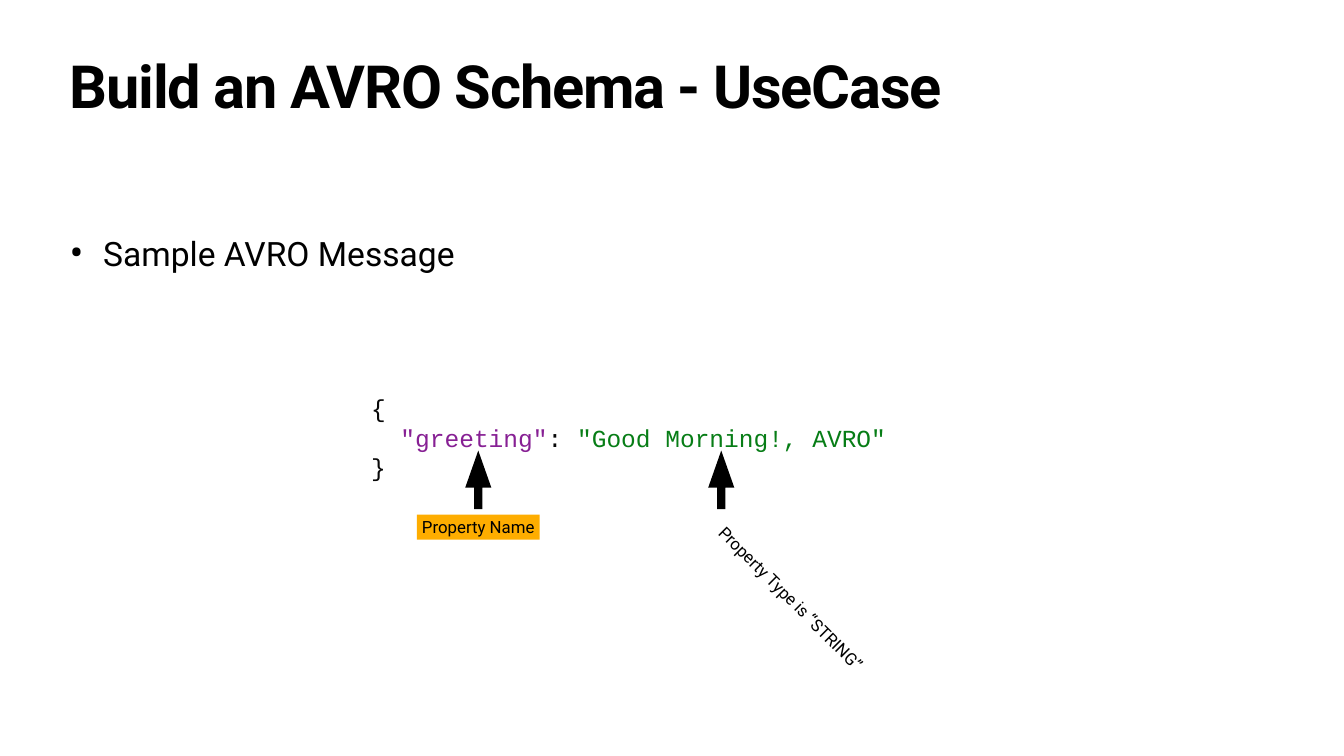
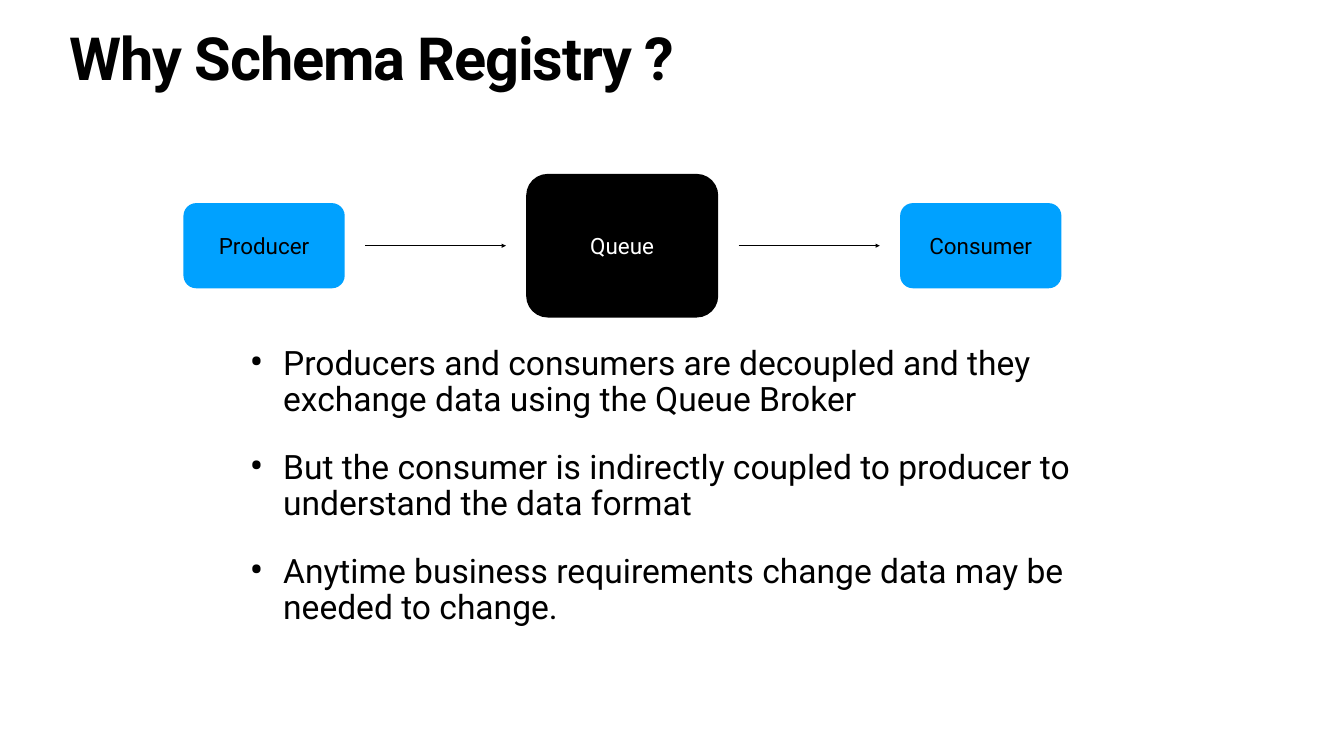
from dataclasses import dataclass

from lxml import etree
from pptx import Presentation
from pptx.dml.color import RGBColor
from pptx.enum.shapes import MSO_CONNECTOR, MSO_SHAPE
from pptx.enum.text import MSO_ANCHOR, PP_ALIGN
from pptx.oxml.ns import qn
from pptx.util import Pt

LEFT, CENTER = PP_ALIGN.LEFT, PP_ALIGN.CENTER
TOP, MIDDLE = MSO_ANCHOR.TOP, MSO_ANCHOR.MIDDLE
RECTANGLE, ROUNDED = MSO_SHAPE.RECTANGLE, MSO_SHAPE.ROUNDED_RECTANGLE
RIGHT_ARROW, STRAIGHT = MSO_SHAPE.RIGHT_ARROW, MSO_CONNECTOR.STRAIGHT


@dataclass(frozen=True)
class Theme:
    font: str = "Roboto"
    code_font: str = "Courier New"
    black: RGBColor = RGBColor(0, 0, 0)
    white: RGBColor = RGBColor(255, 255, 255)
    blue: RGBColor = RGBColor(0x00, 0xA1, 0xFF)
    amber: RGBColor = RGBColor(0xFE, 0xAD, 0x00)
    code: RGBColor = RGBColor(0x08, 0x08, 0x08)
    code_key: RGBColor = RGBColor(0x87, 0x20, 0x94)
    code_string: RGBColor = RGBColor(0x07, 0x7D, 0x16)
    title_size: float = 85
    bullet_size: float = 48
    code_size: float = 35
    box_size: float = 32
    label_size: float = 24
    inset: float = 4.5


THEME = Theme()


def write_text(shape, lines, size, color=THEME.black, font=THEME.font,
               align=CENTER, anchor=MIDDLE, wrap=True):
    """Fill a shape with paragraphs, each a list of (text, colour) runs or a string."""
    frame = shape.text_frame
    frame.word_wrap = wrap
    frame.vertical_anchor = anchor
    frame.margin_left = frame.margin_right = Pt(THEME.inset)
    frame.margin_top = frame.margin_bottom = Pt(THEME.inset)
    for index, line in enumerate(lines):
        paragraph = frame.paragraphs[0] if index == 0 else frame.add_paragraph()
        paragraph.alignment = align
        paragraph.font.name = font
        paragraph.font.size = Pt(size)
        paragraph.font.color.rgb = color
        for text, run_color in [(line, None)] if isinstance(line, str) else line:
            run = paragraph.add_run()
            run.text = text
            if run_color is not None:
                run.font.color.rgb = run_color
    return frame.paragraphs


def add_filled_shape(slide, kind, left, top, width, height, fill):
    shape = slide.shapes.add_shape(kind, Pt(left), Pt(top), Pt(width), Pt(height))
    shape.shadow.inherit = False
    shape.fill.solid()
    shape.fill.fore_color.rgb = fill
    shape.line.fill.background()
    return shape


presentation = Presentation()
presentation.slide_width = Pt(1920)
presentation.slide_height = Pt(1080)

# Titles and bullet lists of both slides
slide_contents = [
    ("Build an AVRO Schema - UseCase", 85, (95, 335, 1730, 650),
     ["Sample AVRO Message"]),
    ("Why Schema Registry ?", 45.5, (352, 490.3, 1328.4, 489),
     ["Producers and consumers are decoupled and they exchange data using the Queue Broker",
      "But the consumer is indirectly coupled to producer to understand the data format",
      "Anytime business requirements change data may be needed to change."]),
]
slides = []
for title_text, title_top, bullet_area, bullets in slide_contents:
    slide = presentation.slides.add_slide(presentation.slide_layouts[5])
    slides.append(slide)

    title = slide.shapes.title
    title.left, title.top, title.width, title.height = Pt(95), Pt(title_top), Pt(1730), Pt(113)
    paragraph = write_text(title, [title_text], THEME.title_size, align=LEFT, anchor=TOP)[0]
    paragraph.font.bold = True
    paragraph.line_spacing = 0.8
    paragraph.runs[0]._r.get_or_add_rPr().set("spc", "-170")

    bullet_box = slide.shapes.add_textbox(*[Pt(length) for length in bullet_area])
    for paragraph in write_text(bullet_box, bullets, THEME.bullet_size, align=LEFT, anchor=TOP):
        paragraph.line_spacing = 0.9
        paragraph.space_before = Pt(45)
        properties = paragraph._p.get_or_add_pPr()
        properties.set("marL", str(Pt(48)))
        properties.set("indent", str(-Pt(48)))
        default_font = properties.find(qn("a:defRPr"))
        for tag, name, value in (("a:buSzPct", "val", "123000"),
                                 ("a:buFont", "typeface", THEME.font),
                                 ("a:buChar", "char", "•")):
            default_font.addprevious(etree.Element(qn(tag), {name: value}))

schema_slide, registry_slide = slides

# Sample message, wide enough to keep the indented line whole
code_box = schema_slide.shapes.add_textbox(Pt(525.6), Pt(537.8), Pt(860), Pt(174.2))
code_lines = [
    "{",
    [('"greeting"', THEME.code_key), (": ", None),
     ('"Good Morning!, AVRO"', THEME.code_string)],
    "}",
]
code_paragraphs = write_text(code_box, code_lines, THEME.code_size, THEME.code,
                             THEME.code_font, align=LEFT)
code_paragraphs[1]._p.get_or_add_pPr().set("marL", str(Pt(42)))

# Pointers below the message
for arrow_left in (641.5, 988.6):
    arrow = add_filled_shape(schema_slide, RIGHT_ARROW, arrow_left, 666.7, 83.5, 37.4,
                             THEME.black)
    arrow.rotation = 270
    arrow.adjustments[0], arrow.adjustments[1] = 0.32, 1.42

name_label = add_filled_shape(schema_slide, RECTANGLE, 595.4, 735.1, 175.7, 36, THEME.amber)
write_text(name_label, ["Property Name"], THEME.label_size, wrap=False)

type_label = schema_slide.shapes.add_textbox(Pt(985.7), Pt(836.6), Pt(288), Pt(36))
type_label.rotation = 45
write_text(type_label, ["Property Type is “STRING”"], THEME.label_size, wrap=False)

# Message flow, centred on one line
flow_middle, arrow_gap = 351, 29
flow_boxes = [
    ("Producer", 262.1, 230.4, 121.7, THEME.blue, THEME.black),
    ("Queue", 751.7, 274.3, 205.2, THEME.black, THEME.white),
    ("Consumer", 1285.9, 230.4, 121.7, THEME.blue, THEME.black),
]
for name, left, width, height, fill, text_color in flow_boxes:
    box = add_filled_shape(registry_slide, ROUNDED, left, flow_middle - height / 2,
                           width, height, fill)
    box.adjustments[0] = 0.15
    write_text(box, [name], THEME.box_size, text_color)

for source, target in zip(flow_boxes, flow_boxes[1:]):
    start = source[1] + source[2] + arrow_gap
    end = target[1] - arrow_gap
    connector = registry_slide.shapes.add_connector(
        STRAIGHT, Pt(start), Pt(flow_middle), Pt(end), Pt(flow_middle))
    connector.line.color.rgb = THEME.black
    connector.line.width = Pt(2)
    etree.SubElement(connector.line._get_or_add_ln(), qn("a:tailEnd"), type="triangle")
    etree.SubElement(connector._element.spPr, qn("a:effectLst"))

presentation.save("out.pptx")
